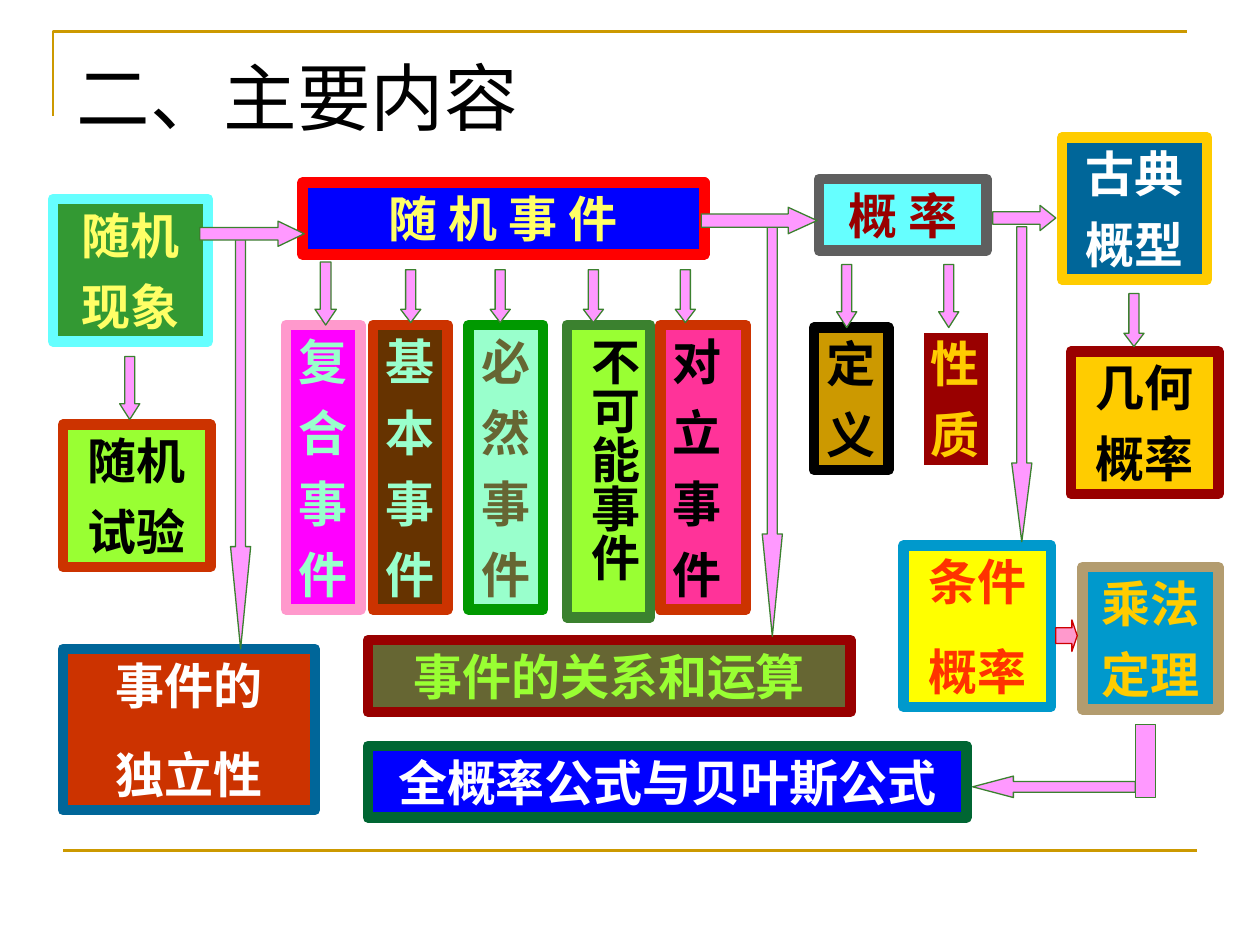
import pptx
import pptx.util
import pptx.dml.color
import pptx.enum.shapes
import pptx.enum.text
import pptx.oxml

Inches = pptx.util.Inches
Shape = pptx.enum.shapes.MSO_SHAPE
Align = pptx.enum.text.PP_ALIGN

theme = {
    "colours": {
        "black": "000000", "white": "FFFFFF", "gold": "CC9900", "amber": "FFCC00",
        "yellow": "FFFF00", "cream": "FFFF66", "green": "339933", "lime": "99FF33",
        "mint": "99FFCC", "leaf": "009900", "forest": "006633", "moss": "3B812F",
        "olive": "666633", "brown": "663300", "tan": "B39C6F", "rust": "CC3300",
        "orange": "FF3300", "red": "FF0000", "crimson": "CC0000", "maroon": "990000",
        "rose": "FF3399", "pink": "FF99CC", "orchid": "FF99FF", "magenta": "FF00FF",
        "blue": "0000FF", "navy": "006699", "azure": "0099CC", "cyan": "66FFFF",
        "grey": "5F5F5F",
    },
    "title": {"name": "Times New Roman", "size": pptx.util.Pt(42), "bold": False},
    "label": {"name": "Times New Roman", "size": pptx.util.Pt(28), "bold": True},
    "border": pptx.util.Pt(6),
    "rule": pptx.util.Pt(1.5),
    "outline": pptx.util.Pt(0.75),
    "close": pptx.util.Pt(7),
    "loose": pptx.util.Pt(17.5),
}
frame_insets = {
    "margin_left": Inches(0.1), "margin_right": Inches(0.1),
    "margin_top": Inches(0.05), "margin_bottom": Inches(0.05),
    "auto_size": pptx.enum.text.MSO_AUTO_SIZE.NONE,
    "vertical_anchor": pptx.enum.text.MSO_ANCHOR.TOP,
}
vertical_insets = {
    "margin_left": Inches(0.05), "margin_right": Inches(0.05),
    "margin_top": Inches(0.1), "margin_bottom": Inches(0.1),
}

deck = pptx.Presentation()
deck.slide_width, deck.slide_height = Inches(10), Inches(7.5)
page = deck.slides.add_slide(deck.slide_layouts[5])


def colour(name):
    return pptx.dml.color.RGBColor.from_string(theme["colours"][name])


def add_block(kind, place, fill, line, width):
    block = page.shapes.add_shape(kind, *(Inches(value) for value in place))
    block.shadow.inherit = False
    block.fill.solid()
    block.fill.fore_color.rgb = colour(fill)
    block.line.color.rgb = colour(line)
    block.line.width = width
    return block


builder = page.shapes.build_freeform(Inches(0.42), Inches(0.92), scale=1.0)
builder.add_line_segments(
    [(Inches(0.42), Inches(0.25)), (Inches(9.42), Inches(0.25))], close=False)
corner = builder.convert_to_shape()
corner.shadow.inherit = False
corner.fill.background()
footer = page.shapes.add_connector(
    pptx.enum.shapes.MSO_CONNECTOR.STRAIGHT,
    Inches(0.5), Inches(6.75), Inches(9.5), Inches(6.75))
footer._element.spPr.append(pptx.oxml.parse_xml(
    '<a:effectLst xmlns:a="http://schemas.openxmlformats.org/drawingml/2006/main"/>'))
for rule in (corner, footer):
    rule.line.color.rgb = colour("gold")
    rule.line.width = theme["rule"]

title = page.shapes.title
title.left, title.top, title.width, title.height = (
    Inches(value) for value in (0.51, 0.36, 8.5, 0.8))
title.text_frame.text = "二、主要内容"
for name, value in frame_insets.items():
    setattr(title.text_frame, name, value)
para = title.text_frame.paragraphs[0]
para.alignment = Align.LEFT
for name, value in theme["title"].items():
    setattr(para.font, name, value)
para.font.color.rgb = colour("black")

boxes = [
    ("随机\n现象", (0.42, 1.58, 1.23, 1.13), "green", "cyan", "cream", "close"),
    ("随机\n试验", (0.5, 3.37, 1.17, 1.13), "lime", "rust", "black", "close"),
    ("事件的\n独立性", (0.5, 5.15, 2, 1.28), "rust", "navy", "white", "loose"),
    ("随 机 事 件", (2.4, 1.45, 3.19, 0.57), "blue", "red", "cream", "close"),
    ("基\n本\n事\n件", (2.96, 2.58, 0.59, 2.26), "brown", "rust", "mint", "close"),
    ("必\n然\n事\n件", (3.72, 2.58, 0.59, 2.26), "mint", "leaf", "olive", "close"),
    ("对\n立\n事\n件", (5.24, 2.58, 0.68, 2.26), "rose", "rust", "black", "close"),
    ("概 率", (6.5, 1.42, 1.33, 0.57), "cyan", "grey", "maroon", "close"),
    ("古典\n概型", (8.43, 1.09, 1.15, 1.13), "navy", "amber", "white", "close"),
    ("几何\n概率", (8.5, 2.79, 1.17, 1.13), "amber", "maroon", "black", "close"),
    ("乘法\n定理", (8.59, 4.5, 1.08, 1.13), "azure", "tan", "amber", "close"),
    ("事件的关系和运算", (2.92, 5.08, 3.83, 0.57), "olive", "maroon", "lime", "close"),
    ("全概率公式与贝叶斯公式", (2.92, 5.92, 4.75, 0.57), "blue", "forest", "white", "close"),
    ("性\n质", (7.29, 2.6, 0.59, 1.13), "maroon", "white", "amber", "close"),
    ("定\n义", (6.46, 2.6, 0.59, 1.13), "gold", "black", "black", "close"),
    ("条件\n概率", (7.17, 4.33, 1.17, 1.28), "yellow", "azure", "orange", "loose"),
    ("不可能事件", (4.5, 2.58, 0.66, 2.32), "lime", "moss", "black", "close"),
    ("复\n合\n事\n件", (2.27, 2.58, 0.59, 2.26), "magenta", "pink", "mint", "close"),
]
for text, place, fill, line, ink, gap in boxes:
    box = add_block(Shape.RECTANGLE, place, fill, line, theme["border"])
    frame = box.text_frame
    frame.text = text
    stacked = text[1:2] == "\n"
    upright = text == "不可能事件"
    frame.word_wrap = not (stacked and place[2] < 0.6)
    for name, value in (frame_insets | (vertical_insets if upright else {})).items():
        setattr(frame, name, value)
    if upright:
        frame._txBody.bodyPr.set("vert", "eaVert")
    for index, para in enumerate(frame.paragraphs):
        para.alignment = Align.LEFT if stacked else Align.CENTER
        if index:
            para.space_before = theme[gap]
        for name, value in theme["label"].items():
            setattr(para.font, name, value)
        para.font.color.rgb = colour(ink)

arrows = [
    (6.05, 1.8, 0.16, 3.25, 0), (1.83, 1.9, 0.16, 3.25, 0), (8.03, 1.8, 0.16, 2.5, 0),
    (5.92, 1.29, 0.21, 0.92, 270), (8.03, 1.48, 0.2, 0.5, 270),
    (1.9, 1.44, 0.2, 0.83, 270), (8.34, 4.96, 0.25, 0.17, 270),
    (8.28, 5.6, 0.17, 1.29, 90), (0.95, 2.83, 0.16, 0.5, 0),
    (3.18, 2.14, 0.16, 0.42, 0), (3.89, 2.14, 0.16, 0.42, 0),
    (4.63, 2.14, 0.16, 0.42, 0), (5.36, 2.14, 0.16, 0.42, 0),
    (6.64, 2.1, 0.16, 0.5, 0), (7.45, 2.1, 0.16, 0.5, 0),
    (8.92, 2.33, 0.16, 0.42, 0), (2.5, 2.08, 0.17, 0.5, 0),
]
for *place, turn in arrows:
    width, height = place[2:]
    short = height < width
    arrow = add_block(Shape.DOWN_ARROW, place, "pink" if short else "orchid",
                      "crimson" if short else "moss", theme["outline"])
    arrow.rotation = turn
    arrow.adjustments[1] = max(0.25, height / width / 4)
add_block(Shape.RECTANGLE, (9.01, 5.75, 0.16, 0.58), "orchid", "moss", theme["outline"])

deck.save("out.pptx")
